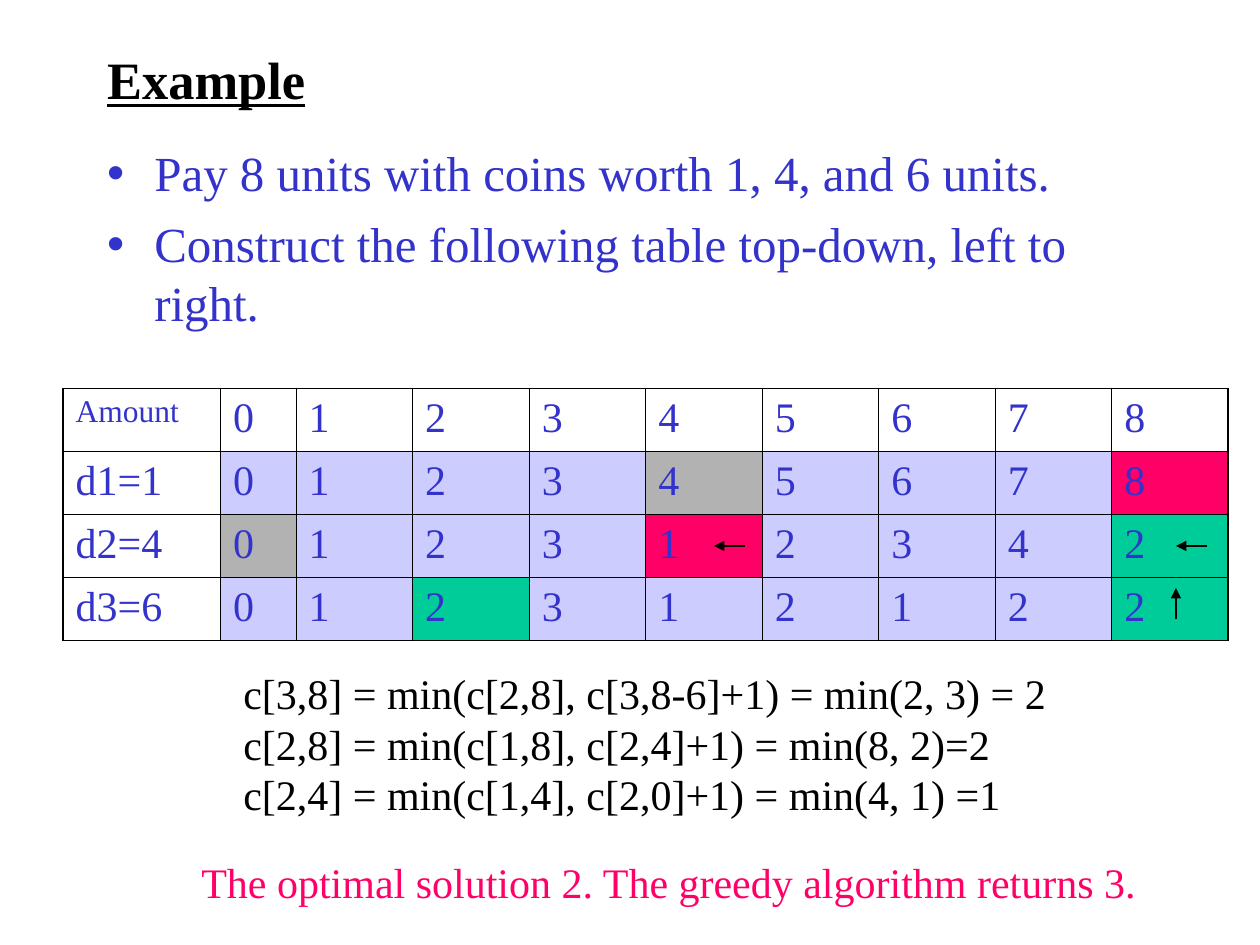
from lxml import etree
from pptx import Presentation
from pptx.dml.color import RGBColor
from pptx.enum.shapes import MSO_CONNECTOR
from pptx.enum.text import MSO_ANCHOR, MSO_AUTO_SIZE, PP_ALIGN
from pptx.oxml.ns import qn
from pptx.util import Pt

STRAIGHT = MSO_CONNECTOR.STRAIGHT
MIDDLE, TOP = MSO_ANCHOR.MIDDLE, MSO_ANCHOR.TOP
NO_FIT = MSO_AUTO_SIZE.NONE
LEFT = PP_ALIGN.LEFT

COLORS = {
    "black": "000000",
    "blue": "3333CC",
    "lavender": "CCCCFF",
    "grey": "B2B2B2",
    "pink": "FF0066",
    "green": "00CC99",
}


def rgb(name):
    return RGBColor.from_string(COLORS[name])


class SlideBuilder:
    font = "Times New Roman"
    thin, thick = 0.45, 1.08

    def __init__(self, slide):
        self.slide = slide

    def place(self, sp, box):
        sp.left, sp.top, sp.width, sp.height = map(Pt, box)

    def add_lines(self, tf, lines, size, color, before=0, bold=None, underline=None):
        for i, line in enumerate(lines):
            p = tf.add_paragraph() if i else tf.paragraphs[0]
            p.alignment = LEFT
            p.space_before = Pt(before)
            r = p.add_run()
            r.text = line
            r.font.name = self.font
            r.font.size = Pt(size)
            r.font.color.rgb = rgb(color)
            r.font.bold = bold
            r.font.underline = underline

    def title(self, text, box):
        sp = self.slide.shapes.title
        self.place(sp, box)
        tf = sp.text_frame
        tf.auto_size = NO_FIT
        tf.vertical_anchor = MIDDLE
        self.add_lines(tf, [text], 30, "black", bold=True, underline=True)

    def bullets(self, lines, box):
        sp = self.slide.placeholders[1]
        self.place(sp, box)
        tf = sp.text_frame
        tf.auto_size = NO_FIT
        tf.vertical_anchor = TOP
        self.add_lines(tf, lines, 28, "blue", before=7)
        for p in tf.paragraphs:
            pPr = p._p.get_or_add_pPr()
            pPr.set("marL", str(Pt(27)))
            pPr.set("indent", str(Pt(-27)))
            etree.SubElement(pPr, qn("a:buChar")).set("char", "•")

    def text(self, lines, box, color, wrap=True):
        sp = self.slide.shapes.add_textbox(*map(Pt, box))
        tf = sp.text_frame
        tf.word_wrap = wrap
        self.add_lines(tf, lines, 24, color)

    def borders(self, cell, outer):
        tcPr = cell._tc.get_or_add_tcPr()
        for side in "LRTB":
            width = self.thick if side in outer else self.thin
            ln = etree.SubElement(tcPr, qn("a:ln" + side), w=str(Pt(width)))
            fill = etree.SubElement(ln, qn("a:solidFill"))
            etree.SubElement(fill, qn("a:srgbClr"), val=COLORS["black"])

    def table(self, rows, marks, left, top, widths, height):
        n_rows, n_cols = len(rows), len(widths)
        frame = self.slide.shapes.add_table(
            n_rows, n_cols, Pt(left), Pt(top), Pt(sum(widths)), Pt(height * n_rows))
        table = frame.table
        table.first_row = table.horz_banding = False
        for col, width in zip(table.columns, widths):
            col.width = Pt(width)
        for i, (label, values) in enumerate(rows):
            table.rows[i].height = Pt(height)
            for j, value in enumerate([label, *values]):
                cell = table.cell(i, j)
                heading = i == 0 and j == 0
                self.add_lines(cell.text_frame, [value], 18 if heading else 24,
                               "blue", before=4.5 if heading else 6)
                edges = {"L": j == 0, "R": j == n_cols - 1,
                         "T": i == 0, "B": i == n_rows - 1}
                self.borders(cell, [side for side in edges if edges[side]])
                if i and j:
                    cell.fill.solid()
                    cell.fill.fore_color.rgb = rgb(marks.get((i, j - 1), "lavender"))
                else:
                    cell.fill.background()

    def arrow(self, x1, y1, x2, y2):
        cxn = self.slide.shapes.add_connector(STRAIGHT, Pt(x1), Pt(y1), Pt(x2), Pt(y2))
        cxn.line.color.rgb = rgb("black")
        cxn.line.width = Pt(0.74)
        spPr = cxn._element.spPr
        etree.SubElement(spPr.find(qn("a:ln")), qn("a:tailEnd")).set("type", "triangle")
        etree.SubElement(spPr, qn("a:effectLst"))


prs = Presentation()
prs.slide_width, prs.slide_height = Pt(720), Pt(540)
s = SlideBuilder(prs.slides.add_slide(prs.slide_layouts[1]))

s.title("Example", (54, 24, 486, 42))
s.bullets([
    "Pay 8 units with coins worth 1, 4, and 6 units. ",
    "Construct the following table top-down, left to right.",
], (54, 78, 612, 402))

amounts = [
    ("Amount", "012345678"),
    ("d1=1", "012345678"),
    ("d2=4", "012312342"),
    ("d3=6", "012312122"),
]
marks = {
    (1, 4): "grey", (2, 0): "grey",
    (1, 8): "pink", (2, 4): "pink",
    (2, 8): "green", (3, 2): "green", (3, 8): "green",
}
s.table(amounts, marks, 36, 222, [90, 43.2] + [66.6] * 8, 36)

s.text([
    "c[3,8] = min(c[2,8], c[3,8-6]+1) = min(2, 3) = 2",
    "c[2,8] = min(c[1,8], c[2,4]+1) = min(8, 2)=2",
    "c[2,4] = min(c[1,4], c[2,0]+1) = min(4, 1) =1 ",
], (132, 378, 474, 122), "black")

s.arrow(672, 354, 672, 336)
for x in (690, 426):
    s.arrow(x, 312, x - 18, 312)

s.text(["The optimal solution 2. The greedy algorithm returns 3."],
       (108, 486, 549, 36), "pink", wrap=False)

prs.save("out.pptx")
